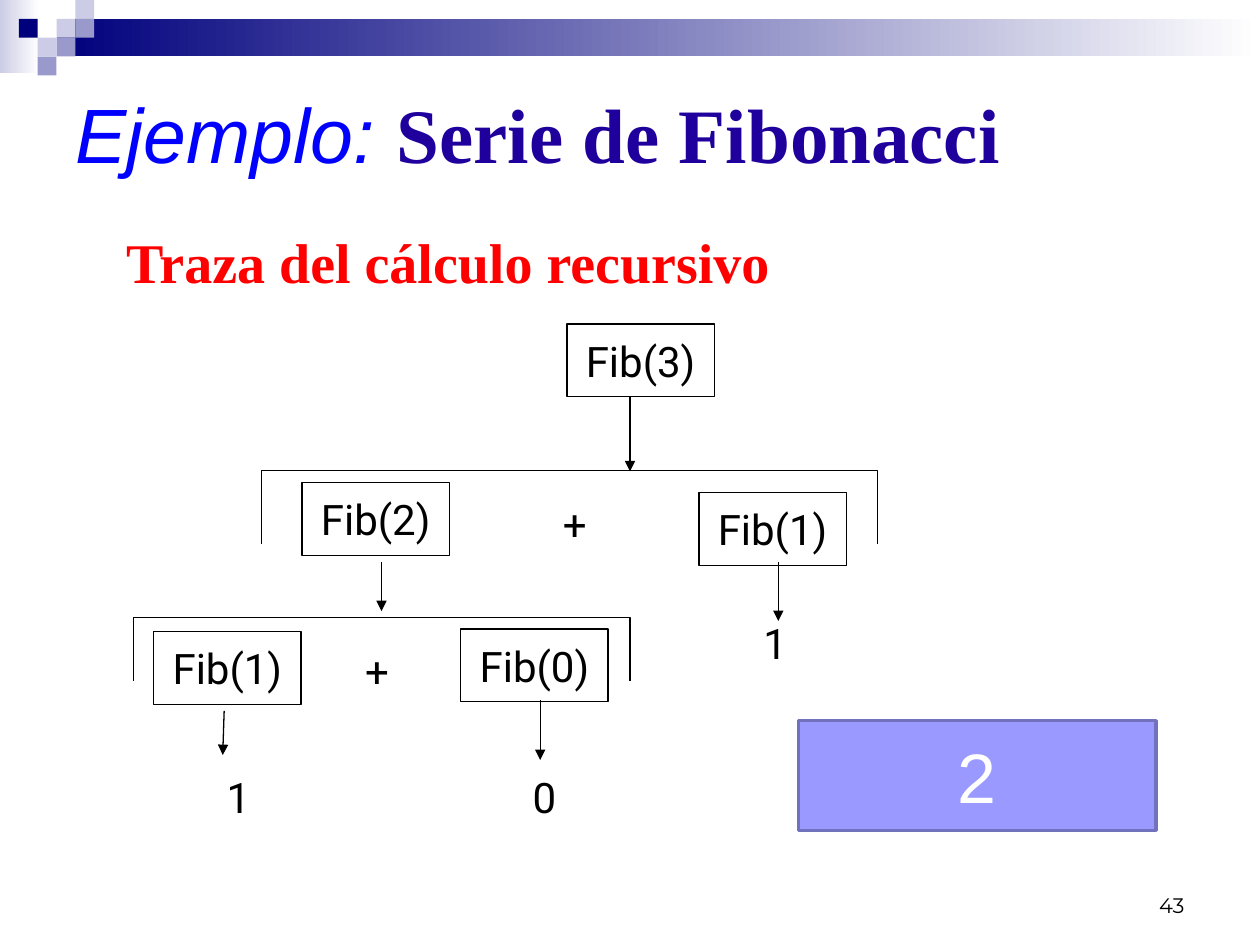
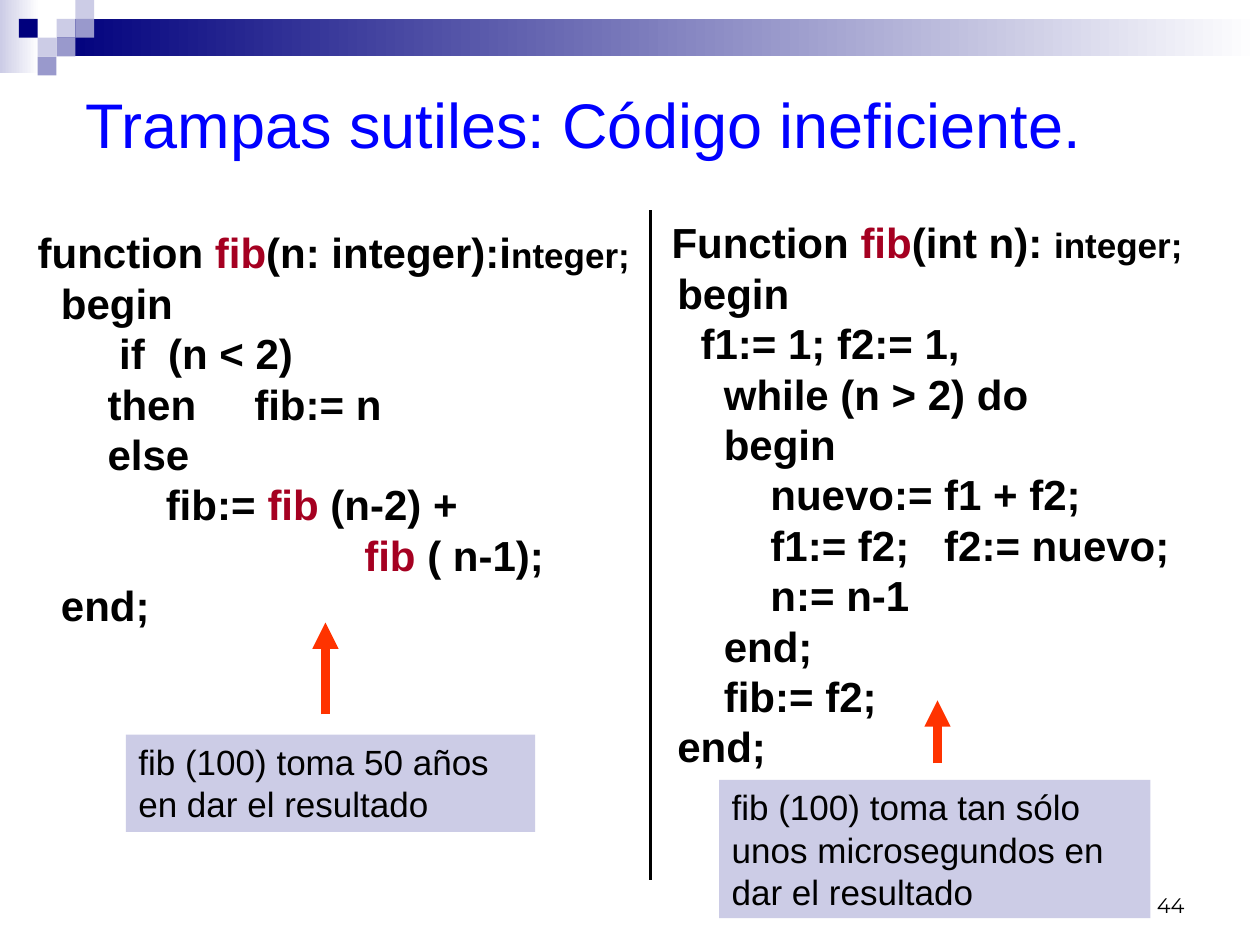
from pptx import Presentation
from pptx.dml.color import RGBColor
from pptx.enum.shapes import MSO_CONNECTOR, MSO_SHAPE
from pptx.enum.text import MSO_ANCHOR, MSO_AUTO_SIZE, PP_ALIGN
from pptx.oxml.ns import qn
from pptx.util import Cm, Pt
from lxml import etree

RECT, BRACKET = MSO_SHAPE.RECTANGLE, MSO_SHAPE.RIGHT_BRACKET
STRAIGHT = MSO_CONNECTOR.STRAIGHT
LEFT, CENTER, RIGHT = PP_ALIGN.LEFT, PP_ALIGN.CENTER, PP_ALIGN.RIGHT
TOP, MIDDLE, BOTTOM = MSO_ANCHOR.TOP, MSO_ANCHOR.MIDDLE, MSO_ANCHOR.BOTTOM
FIXED = MSO_AUTO_SIZE.NONE

BLACK, WHITE, BLUE, INDIGO = "000000", "FFFFFF", "0000FF", "1F009D"
RED, WINE, ORANGE = "FF0000", "A50021", "FF3300"
NAVY, MIST, SLATE = "00007D", "CCCCE6", "9999CC"
LILAC, EDGE = "9999FF", "7171BD"
SANS, SERIF, LABEL, NUMBER = "Arial", "Times New Roman", "Roboto", "Montserrat"

SQUARE = 0.38
SQUARES = [(3, 1, MIST), (4, 0, MIST), (4, 1, SLATE), (2, 2, MIST),
           (1, 1, NAVY), (3, 2, SLATE), (2, 3, SLATE)]
NODE = (2.97, 1.47)
NODES = [("Fib(3)", 8.74, 0), ("Fib(2)", 3.4, 3.2), ("Fib(1)", 11.4, 3.4),
         ("Fib(0)", 6.6, 6.15), ("Fib(1)", 0.41, 6.2)]
ARROWS = [(10.01, 1.47, 10.01, 2.97), (5, 4.8, 5, 5.79), (13, 4.8, 13, 5.99),
          (1.83, 7.8, 1.8, 8.69), (8.2, 7.59, 8.2, 8.79)]
BRACKETS = [(2.58, 2.96, 12.42, 1.47), (0, 5.92, 10.01, 1.27)]
LABELS = [("+", 8.41, 3.4), ("1", 12.45, 5.79), ("+", 4.42, 6.35),
          ("1", 1.63, 8.89), ("0", 7.8, 8.89)]

FIB = ("fib", {"color": WINE})
SLOW = [
    ["function ", FIB, "(n: integer):i", ("nteger;", {"size": 20})],
    "  begin",
    "       if  (n < 2)",
    "      then     fib:= n",
    "      else",
    ["           fib:= ", FIB, " (n-2) +"],
    ["                            ", FIB, " ( n-1);"],
    "  end;",
]
FAST = [
    [("   ", {"size": 20, "bold": False}), "Function ", FIB, "(int n): ",
     ("integer;", {"size": 20})],
    "   begin",
    "     f1:= 1; f2:= 1,",
    "       while (n > 2) do",
    "       begin",
    "           nuevo:= f1 + f2;",
    "           f1:= f2;   f2:= nuevo;",
    "           n:= n-1",
    "       end;",
    "       fib:= f2;",
    "   end;",
]


def paint(target, color):
    target.rgb = RGBColor.from_string(color)


def style(font, size=24, face=SANS, color=BLACK, bold=False, italic=False):
    font.size, font.name = Pt(size), face
    font.bold, font.italic = bold, italic
    paint(font.color, color)


def write(shape, lines, align=LEFT, anchor=TOP, wrap=True, pitch=None, **look):
    frame = shape.text_frame
    frame.auto_size, frame.word_wrap = FIXED, wrap
    frame.vertical_anchor = anchor
    for i, line in enumerate([lines] if isinstance(lines, str) else lines):
        para = frame.add_paragraph() if i else frame.paragraphs[0]
        para.alignment = align
        para.space_before = Pt(0)
        if pitch:
            para.line_spacing = Pt(pitch)
        for part in [line] if isinstance(line, str) else line:
            text, extra = (part, {}) if isinstance(part, str) else part
            run = para.add_run()
            run.text = text
            style(run.font, **{**look, **extra})


def place(shape, box):
    shape.left, shape.top, shape.width, shape.height = map(Cm, box)
    return shape


def draw(slide, box, fill=None, line=None, width=0.75, kind=RECT):
    shape = slide.shapes.add_shape(kind, *map(Cm, box))
    shape.shadow.inherit = False
    if fill:
        shape.fill.solid()
        paint(shape.fill.fore_color, fill)
    else:
        shape.fill.background()
    if line:
        paint(shape.line.color, line)
        shape.line.width = Pt(width)
    else:
        shape.line.fill.background()
    return shape


def fade(slide, box, color):
    shape = draw(slide, box, color)
    shape.fill.gradient()
    shape.fill.gradient_angle = 0
    for stop, shade in zip(shape.fill.gradient_stops, (color, WHITE)):
        paint(stop.color, shade)


def label(slide, text, box, **look):
    write(slide.shapes.add_textbox(*map(Cm, box)), text, **look)


def link(slide, ends, color=BLACK, width=0.75, arrow=True):
    line = slide.shapes.add_connector(STRAIGHT, *map(Cm, ends))
    paint(line.line.color, color)
    line.line.width = Pt(width)
    props = line.element.spPr
    if arrow:
        etree.SubElement(props.find(qn("a:ln")), qn("a:tailEnd"), type="triangle")
    etree.SubElement(props, qn("a:effectLst"))


def start(deck, layout, title, box, number, **look):
    slide = deck.slides.add_slide(deck.slide_layouts[layout])
    fade(slide, (0, 0, 0.79, 1.47), MIST)
    fade(slide, (3 * SQUARE, SQUARE, 24.26, 2 * SQUARE), NAVY)
    for col, row, color in SQUARES:
        draw(slide, (col * SQUARE, row * SQUARE, SQUARE, SQUARE), color)
    label(slide, number, (18.21, 17.35, 5.92, 1.27), align=RIGHT, anchor=BOTTOM,
          size=12, face=NUMBER)
    write(place(slide.shapes.title, box), title, anchor=MIDDLE, color=BLUE, **look)
    return slide


def bracket(slide, x, y, w, h):
    box = (x + (w - h) / 2, y + (h - w) / 2, h, w)
    shape = draw(slide, box, line=BLACK, kind=BRACKET)
    shape.adjustments[0] = 0
    shape.rotation = 270


def tree(slide, left, top):
    for x, y, w, h in BRACKETS:
        bracket(slide, left + x, top + y, w, h)
    for text, x, y in NODES:
        node = draw(slide, (left + x, top + y, *NODE), line=BLACK)
        write(node, text, align=CENTER, anchor=MIDDLE, wrap=False, face=LABEL)
    for x1, y1, x2, y2 in ARROWS:
        link(slide, (left + x1, top + y1, left + x2, top + y2))
    for text, x, y in LABELS:
        label(slide, text, (left + x, top + y, 1.1, 1.3), face=LABEL)


def trace(deck):
    title = [["Ejemplo: ", ("Serie de Fibonacci", {
        "face": SERIF, "color": INDIGO, "bold": True, "italic": False})]]
    slide = start(deck, 1, title, (1.27, 1.27, 22.86, 2.79), "43",
                  size=44, italic=True)
    body = place(slide.placeholders[1], (2.29, 4.45, 21.59, 13.15))
    props = body.text_frame.paragraphs[0]._p.get_or_add_pPr()
    props.set("marL", "0")
    props.set("indent", "0")
    etree.SubElement(props, qn("a:buNone"))
    write(body, "Traza del cálculo recursivo", size=32, face=SERIF,
          color=RED, bold=True)
    tree(slide, 2.69, 6.53)
    total = draw(slide, (16.1, 14.53, 7.21, 2.21), LILAC, EDGE, 2)
    write(total, "2", align=CENTER, anchor=MIDDLE, size=40, color=WHITE)


def column(slide, box, code, note, spot, arrow):
    left, top, wide, high = box
    label(slide, code, box, bold=True, pitch=28.8)
    x, y, w, h = spot
    write(draw(slide, (left + x, top + y, w, h), MIST), note, size=20, pitch=24)
    x, tail, tip = arrow
    link(slide, (left + x, top + tail, left + x, top + tip), ORANGE, 5)


def compare(deck):
    slide = start(deck, 5, "Trampas sutiles: Código ineficiente.",
                  (1.47, 1.37, 22.43, 2.24), "44", size=36)
    column(slide, (0.51, 4.45, 12.6, 8.47), SLOW,
           "fib (100) toma 50 años en dar el resultado",
           (2.03, 10.36, 8.25, 1.96), (6.05, 9.95, 8.1))
    column(slide, (12.7, 4.25, 11.56, 11.55), FAST,
           "fib (100) toma tan sólo unos microsegundos en dar el resultado",
           (1.8, 11.47, 8.69, 2.79), (6.2, 11.14, 9.87))
    link(slide, (13.11, 4.24, 13.11, 17.73), width=1.5, arrow=False)


def main():
    deck = Presentation()
    deck.slide_width, deck.slide_height = Cm(25.4), Cm(19.05)
    trace(deck)
    compare(deck)
    deck.save("out.pptx")


if __name__ == "__main__":
    main()
